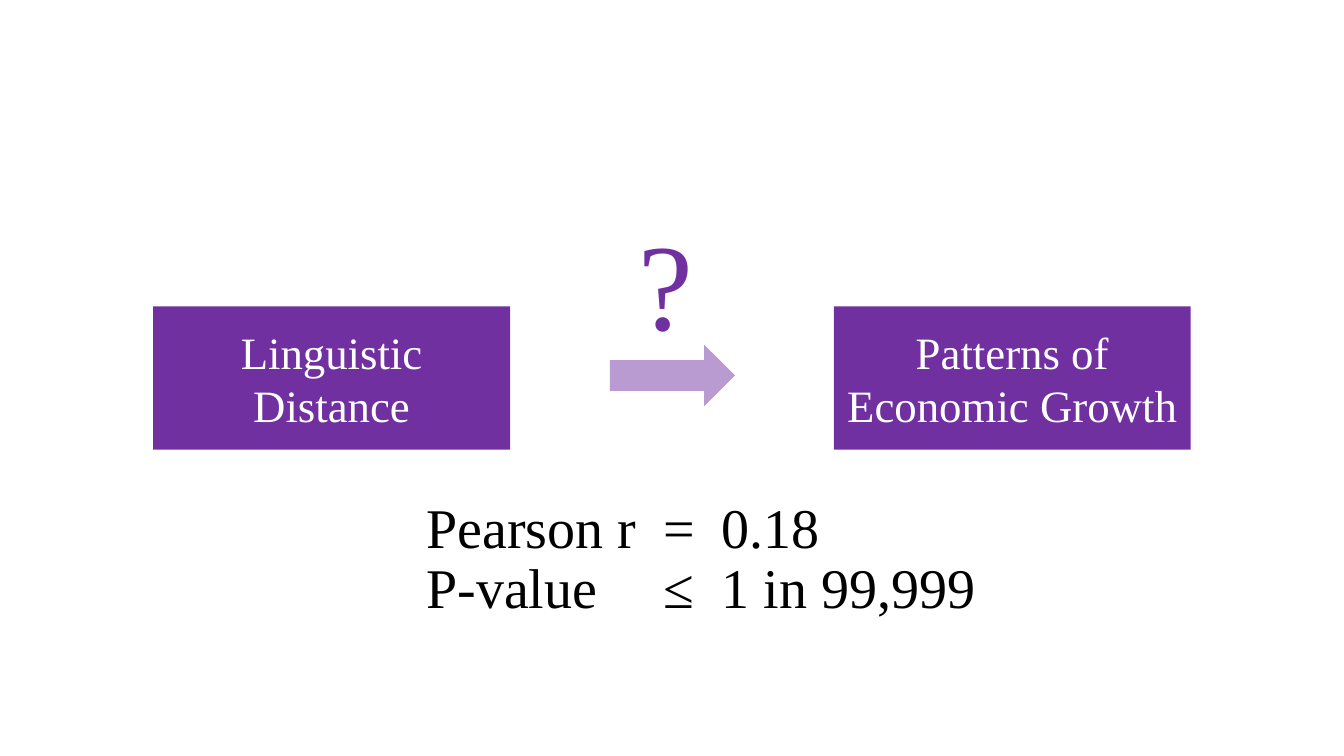
from pptx import Presentation
from pptx.dml.color import RGBColor
from pptx.enum.shapes import MSO_SHAPE
from pptx.enum.text import MSO_ANCHOR, PP_ALIGN
from pptx.oxml.ns import qn
from pptx.util import Inches, Pt
from lxml import etree

RECTANGLE, RIGHT_ARROW = MSO_SHAPE.RECTANGLE, MSO_SHAPE.RIGHT_ARROW
MIDDLE, BOTTOM = MSO_ANCHOR.MIDDLE, MSO_ANCHOR.BOTTOM
LEFT, CENTER = PP_ALIGN.LEFT, PP_ALIGN.CENTER

PURPLE = RGBColor(0x70, 0x30, 0xA0)
WHITE = RGBColor(0xFF, 0xFF, 0xFF)
BLACK = RGBColor(0x00, 0x00, 0x00)
FONT = "Times New Roman"

SLIDE_W, SLIDE_H = 13.33, 7.5
CONCEPT_W, CONCEPT_H = 3.54, 1.42
CONCEPT_LEFT, CONCEPT_TOP, CONCEPT_STEP = 1.52, 3.04, 6.75
CONCEPTS = ["Linguistic Distance", "Patterns of Economic Growth"]
ARROW_BOX = (6.05, 3.42, 1.24, 0.61)
QUESTION_BOX = (5.86, 2.01, 1.49, 1.58)
RESULTS_BOX = (4.13, 4.73, 6.14, 1.48)
RESULTS = [("Pearson r", "=", "0.18"), ("P-value", "≤", "1 in 99,999")]
RESULT_TABS = (2.35, 2.93)


def write(shape, lines, size, color, align, anchor, spacing=1.0):
    frame = shape.text_frame
    frame.word_wrap = True
    frame.vertical_anchor = anchor
    frame.text = "\n".join(lines)
    for paragraph in frame.paragraphs:
        paragraph.alignment = align
        paragraph.line_spacing = spacing
        paragraph.font.name = FONT
        paragraph.font.size = Pt(size)
        paragraph.font.color.rgb = color


def add_purple_shape(slide, kind, box):
    shape = slide.shapes.add_shape(kind, *map(Inches, box))
    shape.shadow.inherit = False
    shape.fill.solid()
    shape.fill.fore_color.rgb = PURPLE
    shape.line.fill.background()
    return shape


def add_concept(slide, box, label):
    concept = add_purple_shape(slide, RECTANGLE, box)
    write(concept, [label], 32, WHITE, CENTER, MIDDLE)


def add_arrow(slide, box, opacity):
    arrow = add_purple_shape(slide, RIGHT_ARROW, box)
    color = arrow.fill._xPr.find(qn("a:solidFill"))[0]
    etree.SubElement(color, qn("a:alpha")).set("val", str(opacity * 1000))


def add_question(slide, box):
    question = slide.shapes.add_textbox(*map(Inches, box))
    write(question, ["?"], 88, PURPLE, CENTER, BOTTOM, 0.9)


def add_results(slide, box, rows):
    """Place the statistics, with sign and value aligned by tab stops."""
    results = slide.shapes.add_textbox(*map(Inches, box))
    write(results, ["\t".join(row) for row in rows], 40, BLACK, LEFT, BOTTOM, 0.9)
    for paragraph in results.text_frame.paragraphs:
        properties = paragraph._p.get_or_add_pPr()
        tabs = etree.Element(qn("a:tabLst"))
        for position in RESULT_TABS:
            etree.SubElement(tabs, qn("a:tab"), pos=str(Inches(position)), algn="l")
        properties.find(qn("a:defRPr")).addprevious(tabs)


def main():
    presentation = Presentation()
    presentation.slide_width = Inches(SLIDE_W)
    presentation.slide_height = Inches(SLIDE_H)
    slide = presentation.slides.add_slide(presentation.slide_layouts[6])

    for column, label in enumerate(CONCEPTS):
        left = CONCEPT_LEFT + column * CONCEPT_STEP
        add_concept(slide, (left, CONCEPT_TOP, CONCEPT_W, CONCEPT_H), label)
    add_arrow(slide, ARROW_BOX, 48)
    add_question(slide, QUESTION_BOX)
    add_results(slide, RESULTS_BOX, RESULTS)

    presentation.save("out.pptx")


if __name__ == "__main__":
    main()
